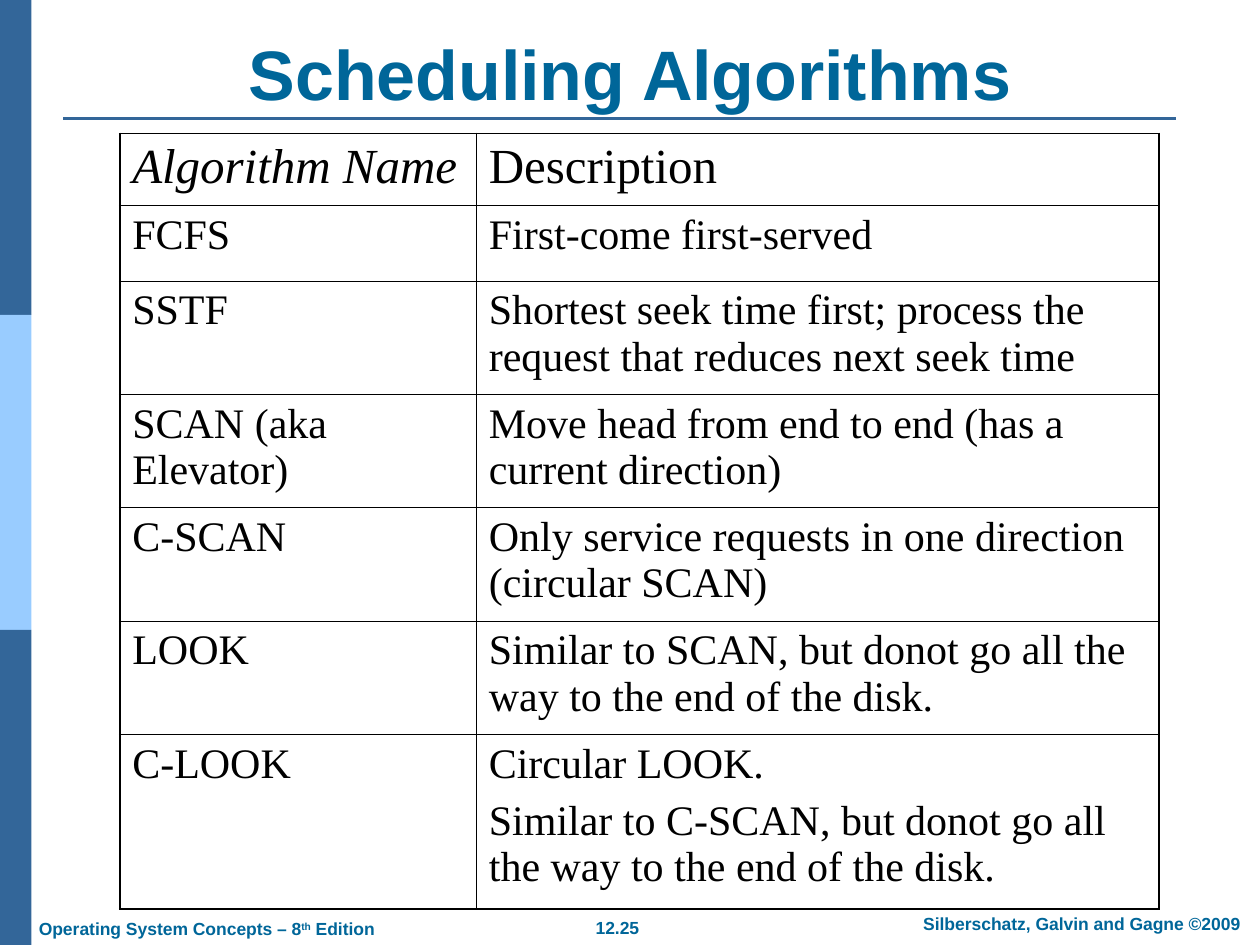
from lxml import etree
from pptx import Presentation
from pptx.dml.color import RGBColor
from pptx.enum.shapes import MSO_CONNECTOR, MSO_SHAPE
from pptx.enum.text import MSO_ANCHOR, MSO_AUTO_SIZE, PP_ALIGN
from pptx.oxml.ns import qn
from pptx.util import Inches, Pt

LEFT, CENTER = PP_ALIGN.LEFT, PP_ALIGN.CENTER
RECTANGLE, STRAIGHT = MSO_SHAPE.RECTANGLE, MSO_CONNECTOR.STRAIGHT
BOTTOM, GROW = MSO_ANCHOR.BOTTOM, MSO_AUTO_SIZE.SHAPE_TO_FIT_TEXT
BLUE = RGBColor(0x33, 0x66, 0x99)
LIGHT_BLUE = RGBColor(0x99, 0xCC, 0xFF)
TEAL = RGBColor(0x00, 0x66, 0x99)
BLACK = RGBColor(0, 0, 0)
OUTER, INNER = 1.08, 0.45

prs = Presentation()
prs.slide_width, prs.slide_height = Inches(10), Inches(7.5)
s = prs.slides.add_slide(prs.slide_layouts[6])


def add_run(p, text, size, font, color):
    """Append a formatted run to a paragraph and return it."""
    r = p.add_run()
    r.text = text
    r.font.size, r.font.name = Pt(size), font
    r.font.color.rgb = color
    return r


def add_border(cell, side, width):
    """Draw a black border on one side (L, R, T or B) of a cell."""
    ln = etree.SubElement(cell._tc.get_or_add_tcPr(), qn("a:ln" + side),
                          w=str(Pt(width)))
    fill = etree.SubElement(ln, qn("a:solidFill"))
    etree.SubElement(fill, qn("a:srgbClr"), val=str(BLACK))


# Side bar and title rule
for i, color in enumerate([BLUE, LIGHT_BLUE, BLUE]):
    bar = s.shapes.add_shape(RECTANGLE, 0, Inches(2.5 * i),
                             Inches(0.25), Inches(2.5))
    bar.shadow.inherit = False
    bar.fill.solid()
    bar.fill.fore_color.rgb = color
    bar.line.fill.background()

rule = s.shapes.add_connector(STRAIGHT, Inches(0.5), Inches(0.94),
                              Inches(9.33), Inches(0.94))
rule.line.color.rgb = BLUE
rule.line.width = Pt(1.5)
etree.SubElement(rule._element.spPr, qn("a:effectLst"))

# Footer: left, top, width, wrap, alignment, runs
footers = [
    (4.37, 7.23, 1.06, False, CENTER, ["12.25"]),
    (7.1, 7.2, 2.97, True, CENTER, ["Silberschatz, Galvin and Gagne ©2009"]),
    (0.21, 7.24, 3, True, LEFT,
     ["Operating System Concepts – 8", "th", " Edition"]),
]
for left, top, width, wrap, align, texts in footers:
    tf = s.shapes.add_textbox(Inches(left), Inches(top), Inches(width),
                              Inches(0.27)).text_frame
    tf.word_wrap = wrap
    tf.auto_size = GROW
    p = tf.paragraphs[0]
    p.alignment = align
    p.space_before = Pt(6.2)
    for text in texts:
        r = add_run(p, text, 10, "Arial", TEAL)
        r.font.bold = True
        if text == "th":
            r.font._element.set("baseline", "30000")

# Title
tf = s.shapes.add_textbox(0, Inches(0.36), Inches(10), Inches(1.25)).text_frame
tf.word_wrap = True
tf.vertical_anchor = BOTTOM
tf.margin_top, tf.margin_bottom = 0, Inches(0.74)
p = tf.paragraphs[0]
p.alignment = CENTER
add_run(p, "Scheduling Algorithms", 40, "Arial", TEAL).font.bold = True

# Table: row height, algorithm name, description paragraphs
rows = [
    (0.57, "Algorithm Name", ["Description"]),
    (0.6, "FCFS", ["First-come first-served"]),
    (0.9, "SSTF", ["Shortest seek time first; process the request that "
                   "reduces next seek time"]),
    (0.9, "SCAN (aka Elevator)",
     ["Move head from end to end (has a current direction)"]),
    (0.9, "C-SCAN", ["Only service requests in one direction (circular SCAN)"]),
    (0.9, "LOOK", ["Similar to SCAN, but donot go all the way to the end of "
                   "the disk."]),
    (1.38, "C-LOOK", ["Circular LOOK.",
                      "Similar to C-SCAN, but donot go all the way to the end "
                      "of the disk."]),
]
table = s.shapes.add_table(len(rows), 2, Inches(0.95), Inches(1.06),
                           Inches(8.25), Inches(6.15)).table
table.first_row = table.horz_banding = False
for col, width in zip(table.columns, [2.83, 5.42]):
    col.width = Inches(width)

last = len(rows) - 1
for i, (height, name, description) in enumerate(rows):
    table.rows[i].height = Inches(height)
    for j, texts in enumerate([[name], description]):
        cell = table.cell(i, j)
        tf = cell.text_frame
        for k, text in enumerate(texts):
            p = tf.add_paragraph() if k else tf.paragraphs[0]
            p.space_before = Pt(6 if i else 7)
            r = add_run(p, text, 24 if i else 28, "Times New Roman", BLACK)
            r.font.italic = i == 0 and j == 0
        edges = {"L": j == 0, "R": j == 1, "T": i == 0, "B": i == last}
        for side, is_outer in edges.items():
            add_border(cell, side, OUTER if is_outer else INNER)
        cell.fill.background()

prs.save("out.pptx")
